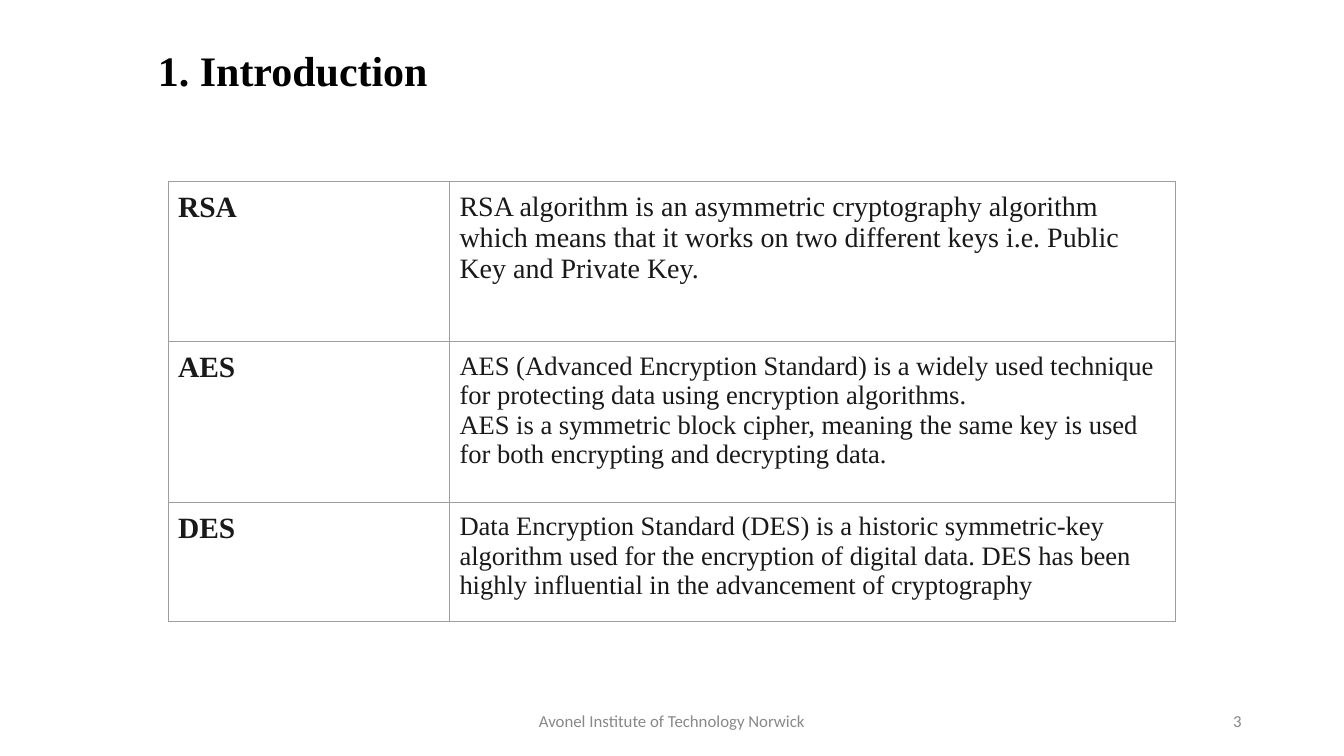
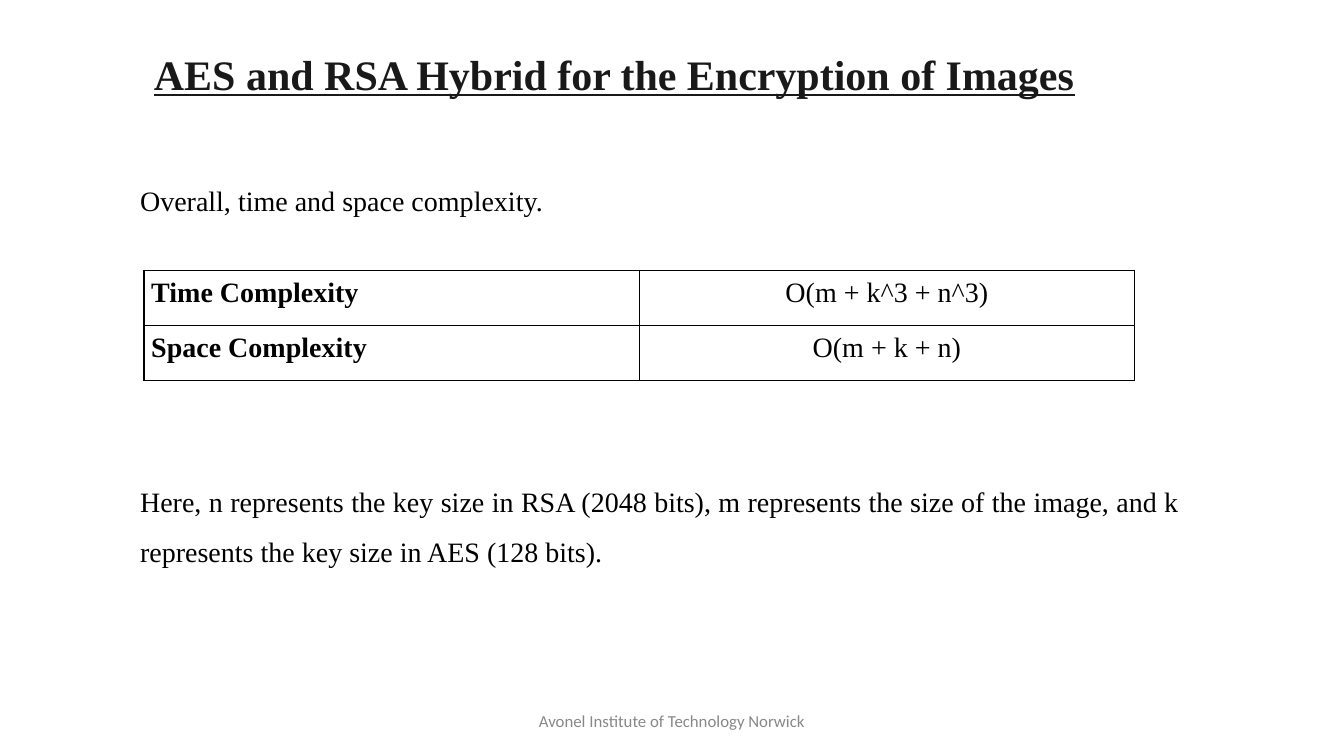
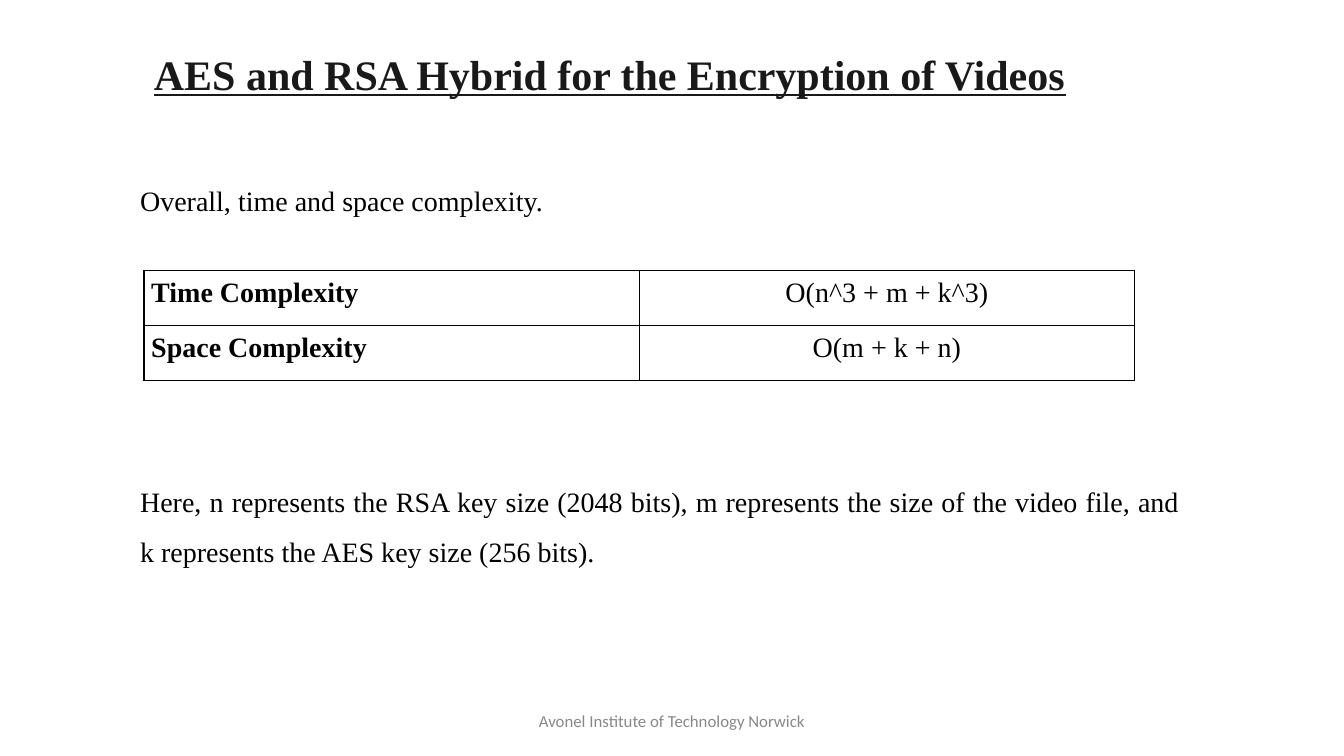
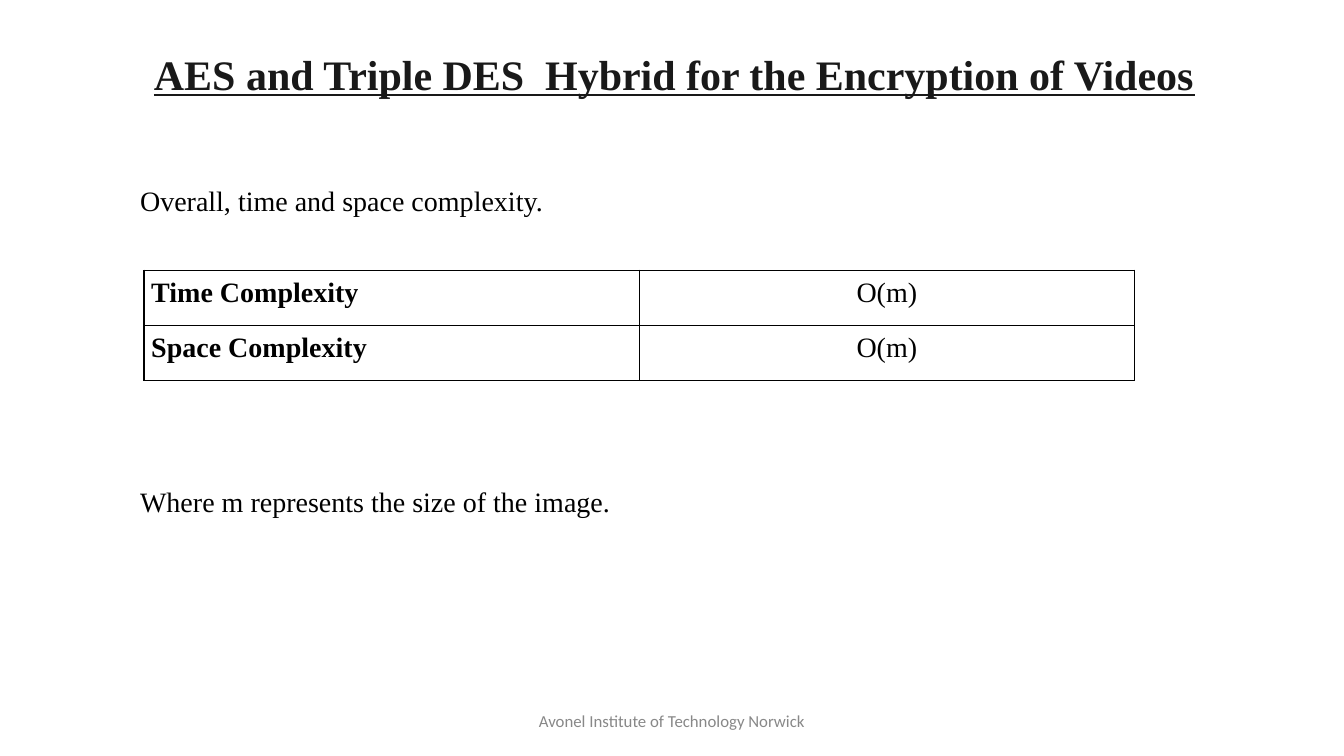
"""Builds four slides that compare RSA, AES and DES encryption schemes."""
from lxml.etree import SubElement
from pptx import Presentation
from pptx.dml.color import RGBColor as Rgb
from pptx.enum.text import MSO_ANCHOR as Anchor, MSO_AUTO_SIZE as AutoSize, PP_ALIGN as Align
from pptx.oxml import parse_xml
from pptx.oxml.ns import nsdecls, qn
from pptx.util import Cm, Pt

COLORS = {"black": "000000", "ink": "191919", "footer": "888888", "grid": "9E9E9E"}
SERIF, SANS = "Times New Roman", "Calibri"
INSTITUTE = "Avonel Institute of Technology Norwick"

ALGORITHMS = [
    ("RSA", 20, "RSA algorithm is an asymmetric cryptography algorithm which means that it "
     "works on two different keys i.e. Public Key and Private Key."),
    ("AES", 19, "AES (Advanced Encryption Standard) is a widely used technique for protecting "
     "data using encryption algorithms.\nAES is a symmetric block cipher, meaning the same key "
     "is used for both encrypting and decrypting data."),
    ("DES", 19, "Data Encryption Standard (DES) is a historic symmetric-key algorithm used for "
     "the encryption of digital data. DES has been highly influential in the advancement of "
     "cryptography"),
]

HYBRIDS = [
    ("AES and RSA Hybrid for the Encryption of Images", 24.97,
     "O(m + k^3 + n^3)", "O(m + k + n)", 2.64,
     "Here, n represents the key size in RSA (2048 bits), m represents the size of the image, "
     "and k represents the key size in AES (128 bits)."),
    ("AES and RSA Hybrid for the Encryption of Videos", 24.97,
     "O(n^3 + m + k^3)", "O(m + k + n)", 2.64,
     "Here, n represents the RSA key size (2048 bits), m represents the size of the video file, "
     "and k represents the AES key size (256 bits)."),
    ("AES and Triple DES  Hybrid for the Encryption of Videos", 28.85,
     "O(m)", "O(m)", 1.37, "Where m represents the size of the image."),
]


def write(frame, text, size, color="black", font=SERIF, bold=False, underline=False,
          align=Align.LEFT, spacing=None):
    frame.text = text
    for paragraph in frame.paragraphs:
        paragraph.alignment = align
        if spacing:
            paragraph.line_spacing = spacing
        for run in paragraph.runs:
            run.font.size = Pt(size)
            run.font.name = font
            run.font.bold = bold
            run.font.underline = underline
            run.font.color.rgb = Rgb.from_string(COLORS[color])


def add_text(slide, box, text, size, inset=0.25, anchor=Anchor.TOP, grow=False, **style):
    frame = slide.shapes.add_textbox(*map(Cm, box)).text_frame
    frame.word_wrap = True
    frame.auto_size = AutoSize.SHAPE_TO_FIT_TEXT if grow else AutoSize.NONE
    frame.vertical_anchor = anchor
    frame.margin_left = frame.margin_right = Cm(0.25)
    frame.margin_top = frame.margin_bottom = Cm(inset)
    write(frame, text, size, **style)


def add_footer(slide, number=None):
    style = dict(inset=0.13, anchor=Anchor.MIDDLE, color="footer", font=SANS)
    add_text(slide, (11.22, 17.65, 11.43, 1.01), INSTITUTE, 12, align=Align.CENTER, **style)
    if number:
        add_text(slide, (23.92, 17.65, 7.62, 1.01), number, 12, align=Align.RIGHT, **style)


def outline(cell, color, width):
    properties = cell._tc.get_or_add_tcPr()
    for position, side in enumerate(("lnL", "lnR", "lnT", "lnB")):
        edge = parse_xml(f'<a:{side} {nsdecls("a")} w="{Pt(width)}"/>')
        SubElement(SubElement(edge, qn("a:solidFill")), qn("a:srgbClr"), val=COLORS[color])
        properties.insert(position, edge)


def add_grid(slide, left, top, widths, heights, rows, inset, border):
    """Draw a plain table whose rows hold pairs of text and text style."""
    table = slide.shapes.add_table(len(heights), len(widths), Cm(left), Cm(top),
                                   Cm(sum(widths)), Cm(sum(heights))).table
    table.first_row = table.horz_banding = False
    for column, width in zip(table.columns, widths):
        column.width = Cm(width)
    for row, height, entries in zip(table.rows, heights, rows):
        row.height = Cm(height)
        for cell, (text, style) in zip(row.cells, entries):
            cell.margin_left = cell.margin_right = Cm(inset)
            cell.margin_top = cell.margin_bottom = Cm(inset)
            cell.fill.background()
            outline(cell, *border)
            write(cell.text_frame, text, **style)


def add_introduction(slide):
    add_footer(slide, "3")
    add_text(slide, (3.73, 0.99, 16.31, 1.55), "1. Introduction", 30, inset=0.13,
             grow=True, bold=True)
    rows = [((name, dict(size=21, color="ink", bold=True)),
             (description, dict(size=size, color="ink")))
            for name, size, description in ALGORITHMS]
    add_grid(slide, 4.24, 4.57, (7.09, 18.29), (4.04, 4.04, 3), rows, 0.25, ("grid", 0.75))


def add_hybrid(slide, title, title_width, time, space, note_height, note):
    add_footer(slide)
    add_text(slide, (3.63, 0.97, title_width, 1.6), title, 30, color="ink",
             bold=True, underline=True)
    add_text(slide, (3.28, 4.24, 26.7, 1.37), "Overall, time and space complexity.", 20,
             grow=True, align=Align.JUSTIFY, spacing=1.15)
    rows = [((label, dict(size=20, bold=True, align=Align.JUSTIFY)),
             (order, dict(size=20, align=Align.CENTER)))
            for label, order in (("Time Complexity", time), ("Space Complexity", space))]
    add_grid(slide, 3.63, 6.81, (12.48,) * 2, (1.39,) * 2, rows, 0.18, ("black", 1))
    add_text(slide, (3.28, 11.53, 26.7, note_height), note, 20,
             grow=True, align=Align.JUSTIFY, spacing=1.5)


def main():
    deck = Presentation()
    deck.slide_width, deck.slide_height = Cm(33.87), Cm(19.05)
    blank = deck.slide_layouts[6]
    add_introduction(deck.slides.add_slide(blank))
    for hybrid in HYBRIDS:
        add_hybrid(deck.slides.add_slide(blank), *hybrid)
    deck.save("out.pptx")


if __name__ == "__main__":
    main()
